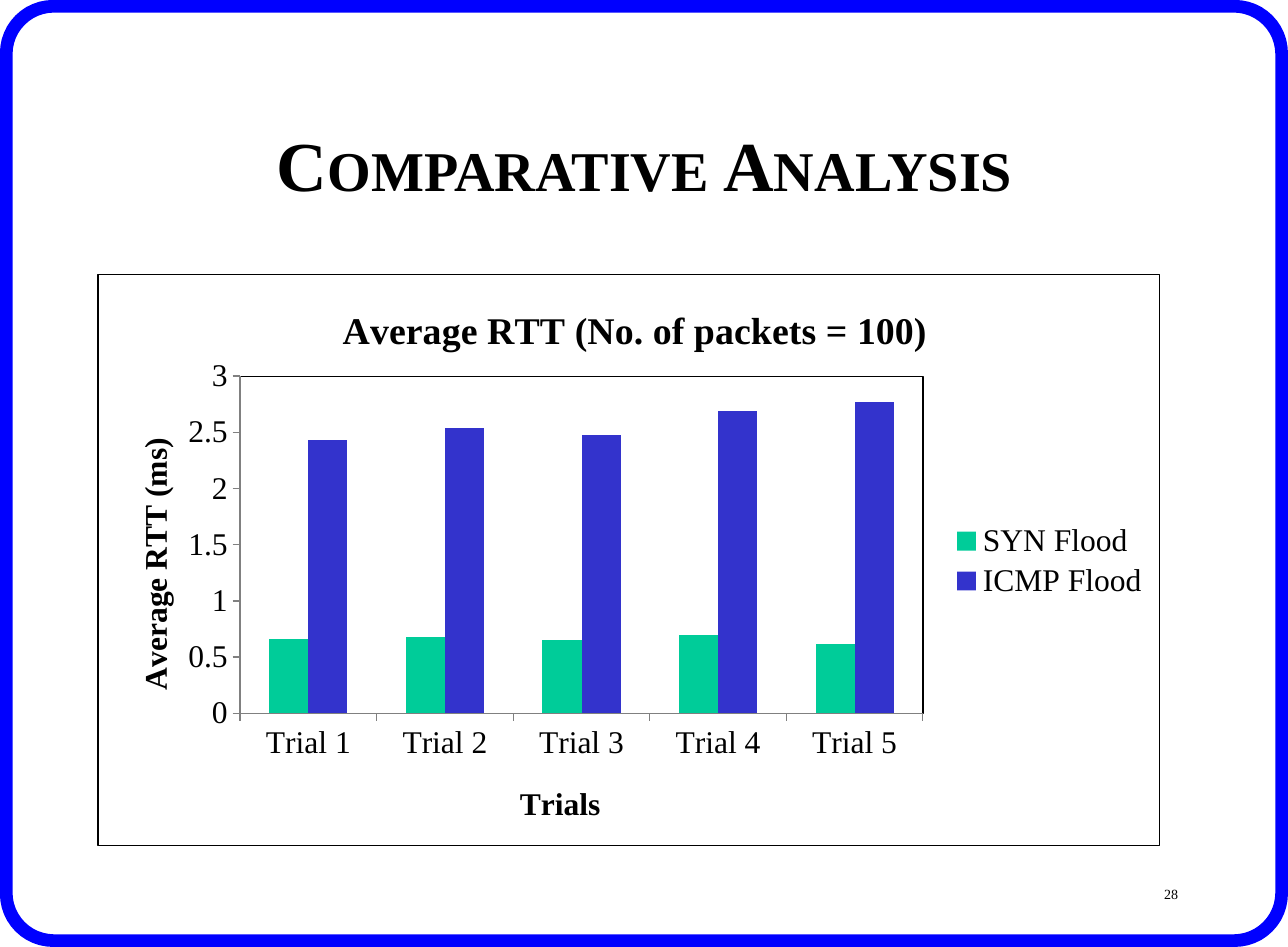
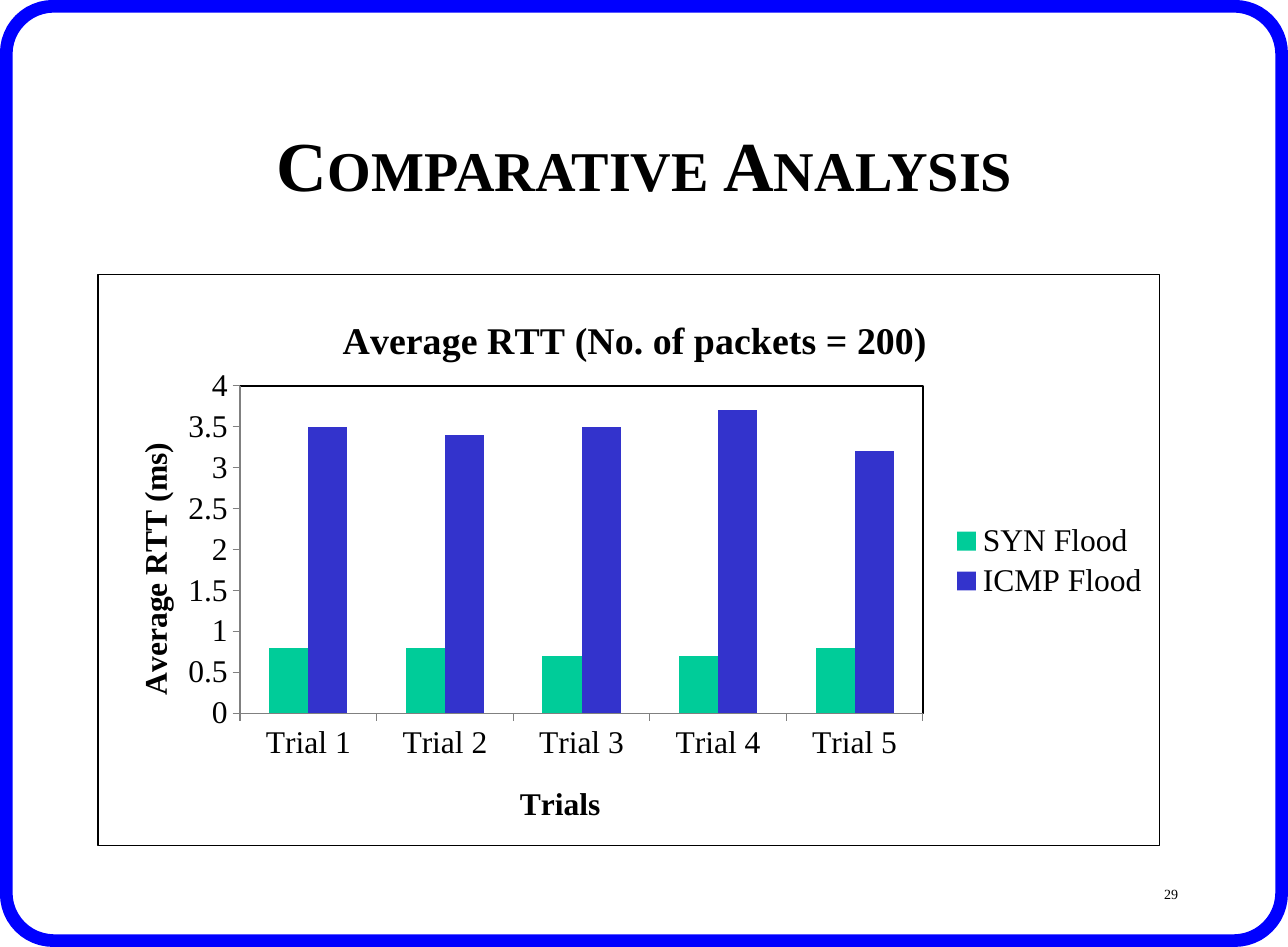
from dataclasses import dataclass
from math import cos, pi, sin

from lxml.etree import SubElement
from pptx import Presentation
from pptx.chart.data import CategoryChartData
from pptx.dml.color import RGBColor
from pptx.enum.chart import XL_CHART_TYPE, XL_LEGEND_POSITION, XL_TICK_MARK
from pptx.enum.text import MSO_ANCHOR, PP_ALIGN
from pptx.oxml import parse_xml
from pptx.oxml.ns import nsdecls, qn
from pptx.util import Inches, Pt


@dataclass(frozen=True)
class Theme:
    font: str = "Times New Roman"
    ink: str = "000000"
    frame: str = "0000FF"
    axis: str = "808080"
    series: tuple = ("00CC99", "3333CC")
    title_cap: float = 40
    title_small: float = 32
    chart_title: float = 21.6
    chart_text: float = 18
    number: float = 8
    border: float = 0.75


class Deck:
    def __init__(self, theme, width, height):
        self.theme = theme
        self.prs = Presentation()
        self.prs.slide_width = Inches(width)
        self.prs.slide_height = Inches(height)
        self.s = None

    def add_slide(self):
        self.s = self.prs.slides.add_slide(self.prs.slide_layouts[6])

    def box(self, x, y, w, h):
        sw, sh = self.prs.slide_width, self.prs.slide_height
        return [round(side * share / 100)
                for side, share in zip((sw, sh, sw, sh), (x, y, w, h))]

    def style(self, font, size, bold=False):
        font.name = self.theme.font
        font.size = Pt(size)
        font.bold = bold
        font.color.rgb = RGBColor.from_string(self.theme.ink)

    def outline(self, inset, radius, steps=12):
        w, h = self.prs.slide_width, self.prs.slide_height
        near = inset + radius
        centers = ((w - near, h - near), (near, h - near),
                   (near, near), (w - near, near))
        return [(round(cx + radius * cos(a)), round(cy + radius * sin(a)))
                for q, (cx, cy) in enumerate(centers)
                for a in ((q + i / steps) * pi / 2 for i in range(steps + 1))]

    def frame(self):
        outer = self.outline(0, Inches(0.42))
        inner = self.outline(Inches(0.1), Inches(0.33))
        builder = self.s.shapes.build_freeform(*outer[0])
        builder.add_line_segments(outer[1:], close=True)
        builder.move_to(*inner[0])
        builder.add_line_segments(inner[1:], close=True)
        sp = builder.convert_to_shape()
        sp.shadow.inherit = False
        sp.fill.solid()
        sp.fill.fore_color.rgb = RGBColor.from_string(self.theme.frame)
        sp.line.fill.background()

    def text(self, box, runs, align, bold=False):
        tf = self.s.shapes.add_textbox(*self.box(*box)).text_frame
        tf.word_wrap = True
        tf.vertical_anchor = MSO_ANCHOR.MIDDLE
        p = tf.paragraphs[0]
        p.alignment = align
        for content, size in runs:
            r = p.add_run()
            r.text = content
            self.style(r.font, size, bold)

    def title(self, words):
        runs = []
        for i, word in enumerate(words):
            gap = " " if i < len(words) - 1 else ""
            runs += [(word[0], self.theme.title_cap),
                     (word[1:].upper() + gap, self.theme.title_small)]
        self.text((7.55, 8.93, 85, 16.67), runs, PP_ALIGN.CENTER, True)

    def number(self, value):
        self.text((71.67, 91.07, 20.78, 6.67),
                  [(str(value), self.theme.number)], PP_ALIGN.RIGHT)

    def place(self, element, after=None, inner=False, **shares):
        for old in element.findall(qn("c:layout")):
            element.remove(old)
        layout = parse_xml(f"<c:layout {nsdecls('c')}/>")
        manual = SubElement(layout, qn("c:manualLayout"))
        if inner:
            SubElement(manual, qn("c:layoutTarget")).set("val", "inner")
        for key in ("x", "y"):
            SubElement(manual, qn(f"c:{key}Mode")).set("val", "edge")
        for key, share in shares.items():
            SubElement(manual, qn(f"c:{key}")).set("val", str(share / 100))
        if after:
            element.find(qn(after)).addnext(layout)
        else:
            element.insert(0, layout)

    def border(self):
        return parse_xml(
            f"<c:spPr {nsdecls('c', 'a')}><a:noFill/>"
            f'<a:ln w="{Pt(self.theme.border)}"><a:solidFill>'
            f'<a:srgbClr val="{self.theme.ink}"/></a:solidFill></a:ln></c:spPr>')

    def chart_label(self, label, content, size, x, y):
        tf = label.text_frame
        r = tf.paragraphs[0].add_run()
        r.text = content
        self.style(r.font, size, True)
        self.place(label._element, "c:tx", x=x, y=y)
        return tf

    def axis(self, axis, content, x, y):
        axis.has_major_gridlines = False
        axis.major_tick_mark = XL_TICK_MARK.OUTSIDE
        axis.minor_tick_mark = XL_TICK_MARK.NONE
        axis.format.line.color.rgb = RGBColor.from_string(self.theme.axis)
        self.style(axis.tick_labels.font, self.theme.chart_text)
        return self.chart_label(axis.axis_title, content,
                                self.theme.chart_text, x, y)

    def column_chart(self, title, series, top, maximum):
        t = self.theme
        data = CategoryChartData()
        data.categories = [f"Trial {i}" for i in range(1, 6)]
        for name, values in series.items():
            data.add_series(name, values)
        chart = self.s.shapes.add_chart(
            XL_CHART_TYPE.COLUMN_CLUSTERED,
            *self.box(7.55, 28.93, 82.55, 60.4), data).chart
        self.style(chart.font, t.chart_text)

        chart.has_title = True
        self.chart_label(chart.chart_title, title, t.chart_title,
                         22.4, top - 13.5)
        self.axis(chart.category_axis, "Trials", 39.2, 88.3)
        value = chart.value_axis
        value.minimum_scale, value.maximum_scale = 0, maximum
        value.major_unit = 0.5
        tf = self.axis(value, "Average RTT (ms)", 3, 18.8 + top / 2)
        tf._txBody.find(qn("a:bodyPr")).set("rot", "-5400000")

        chart.has_legend = True
        chart.legend.position = XL_LEGEND_POSITION.RIGHT
        chart.legend.include_in_layout = False
        self.style(chart.legend.font, t.chart_text)
        self.place(chart.legend._element, "c:legendPos",
                   x=80.1, y=42.7, w=19, h=15)

        plot = chart.plots[0]
        plot.gap_width, plot.overlap = 150, 0
        plot.vary_by_categories = False
        for column, color in zip(plot.series, t.series):
            column.format.fill.solid()
            column.format.fill.fore_color.rgb = RGBColor.from_string(color)

        root = chart._chartSpace.find(qn("c:chart"))
        root.addnext(self.border())
        area = root.find(qn("c:plotArea"))
        self.place(area, inner=True, x=13.4, y=top, w=64.3, h=76.9 - top)
        area.append(self.border())


def main():
    deck = Deck(Theme(), 10.2, 7.5)
    trials = (
        (28, 100, 17.8, 3, {"SYN Flood": (0.66, 0.68, 0.65, 0.7, 0.62),
                            "ICMP Flood": (2.43, 2.54, 2.48, 2.69, 2.77)}),
        (29, 200, 19.5, 4, {"SYN Flood": (0.8, 0.8, 0.7, 0.7, 0.8),
                            "ICMP Flood": (3.5, 3.4, 3.5, 3.7, 3.2)}),
    )
    for number, packets, top, maximum, series in trials:
        deck.add_slide()
        deck.frame()
        deck.number(number)
        deck.title(("Comparative", "Analysis"))
        deck.column_chart(f"Average RTT (No. of packets = {packets})",
                          series, top, maximum)
    deck.prs.save("out.pptx")


if __name__ == "__main__":
    main()
